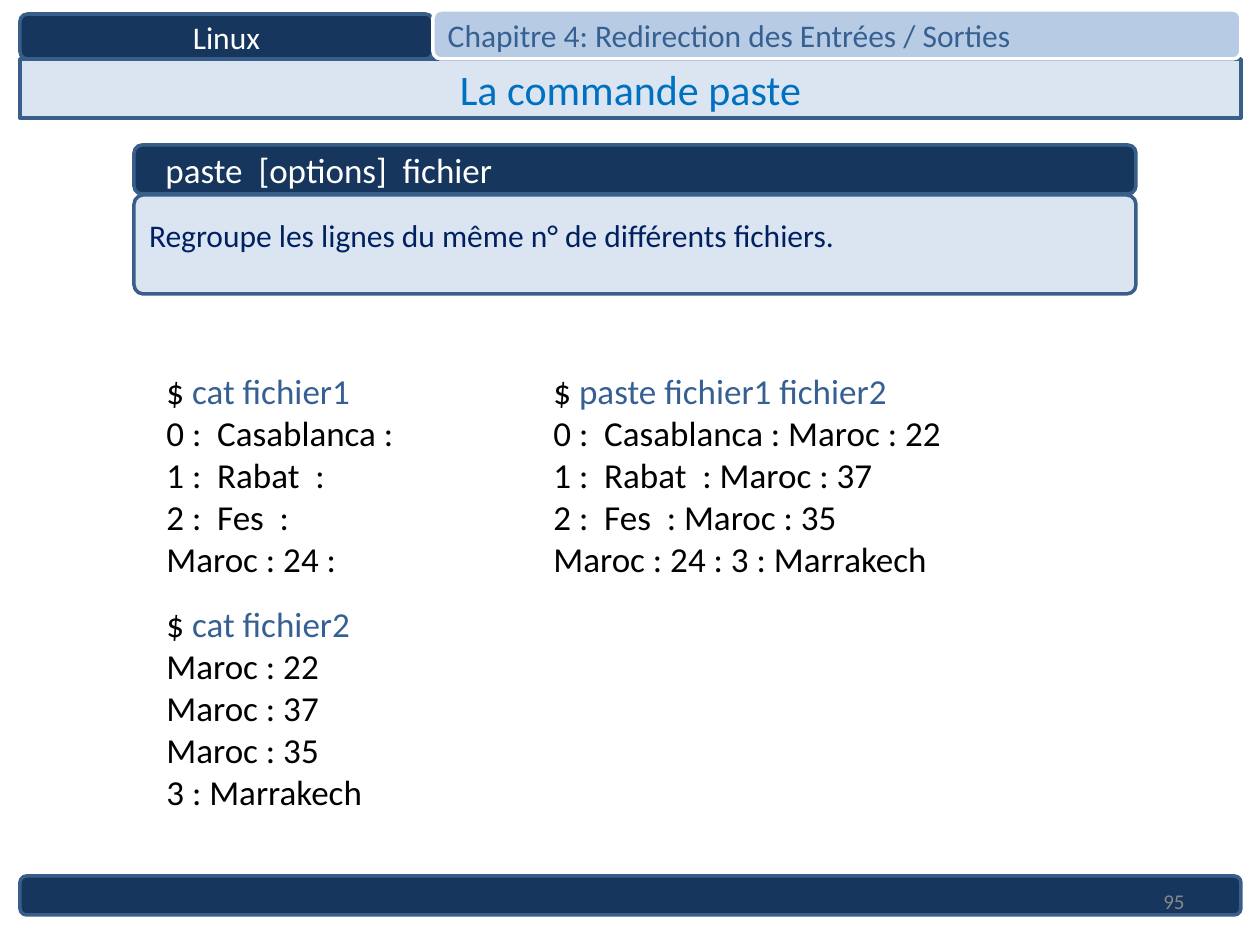
"""Build the slide on the paste command from the Linux course."""
from pptx import Presentation
from pptx.dml.color import RGBColor
from pptx.enum.shapes import MSO_SHAPE
from pptx.enum.text import MSO_ANCHOR, MSO_AUTO_SIZE, PP_ALIGN
from pptx.oxml import parse_xml
from pptx.oxml.ns import nsdecls
from pptx.util import Emu, Pt

COLORS = {
    "navy": "17365D", "edge": "395E89", "pale": "DAE5F1", "sky": "B7CCE4",
    "white": "FFFFFF", "blue": "366092", "title": "0070C0", "ink": "002060",
    "black": "000000", "grey": "888888",
}
SCALE = 914400 / 126


def px(length):
    return Emu(round(length * SCALE))


def add_span(para, text, size, color):
    span = para.add_run()
    span.text = text
    for name, value in {"name": "Calibri", "size": Pt(size), "bold": False}.items():
        setattr(span.font, name, value)
    span.font.color.rgb = RGBColor.from_string(COLORS[color])


deck = Presentation()
deck.slide_width, deck.slide_height = px(1260), px(945)
page = deck.slides.add_slide(deck.slide_layouts[5])

title = page.shapes.title
for name, value in {"left": 20, "top": 59, "width": 1221, "height": 59}.items():
    setattr(title, name, px(value))
title.element.spPr.append(parse_xml(
    f'<a:prstGeom {nsdecls("a")} prst="roundRect"><a:avLst/></a:prstGeom>'))
title.fill.solid()
title.fill.fore_color.rgb = RGBColor.from_string(COLORS["pale"])
title.line.color.rgb = RGBColor.from_string(COLORS["edge"])
title.line.width = Pt(2)
title.text_frame.auto_size = MSO_AUTO_SIZE.NONE
title.text_frame.vertical_anchor = MSO_ANCHOR.MIDDLE
title.text_frame.paragraphs[0].alignment = PP_ALIGN.CENTER
add_span(title.text_frame.paragraphs[0], "La commande paste", 24, "title")

LEFT, CENTER = PP_ALIGN.LEFT, PP_ALIGN.CENTER
bars = [
    ((20, 14, 413, 45), "navy", "edge", 0.167, "Linux", 18, "white", CENTER, {}),
    ((433, 10, 808, 49), "sky", "white", 0.167,
     "Chapitre 4: Redirection des Entrées / Sorties", 18, "blue", LEFT, {}),
    ((20, 876, 1221, 39), "navy", "edge", 0.167, "", 18, "white", CENTER, {}),
    ((134, 145, 1002, 49), "navy", "edge", 0.167,
     "paste  [options]  fichier", 20, "white", LEFT, {"margin_left": px(29)}),
    ((134, 195, 1002, 99), "pale", "edge", 0.094,
     "Regroupe les lignes du même n° de différents fichiers.", 18, "ink", LEFT,
     {"margin_bottom": px(25)}),
]
for place, fill, edge, corner, text, size, color, align, margins in bars:
    bar = page.shapes.add_shape(MSO_SHAPE.ROUNDED_RECTANGLE, *map(px, place))
    bar.shadow.inherit = False
    bar.adjustments[0] = corner
    bar.fill.solid()
    bar.fill.fore_color.rgb = RGBColor.from_string(COLORS[fill])
    bar.line.color.rgb = RGBColor.from_string(COLORS[edge])
    bar.line.width = Pt(2)
    if text:
        frame = bar.text_frame
        for name, value in {"word_wrap": True, **margins}.items():
            setattr(frame, name, value)
        frame.paragraphs[0].alignment = align
        add_span(frame.paragraphs[0], text, size, color)

sessions = [
    ((154, 363, 387, 459), [
        "$ cat fichier1", "0 :  Casablanca :", "1 :  Rabat  :", "2 :  Fes  :",
        "Maroc : 24 :", "$ cat fichier2", "Maroc : 22", "Maroc : 37",
        "Maroc : 35", "3 : Marrakech"]),
    ((541, 363, 576, 224), [
        "$ paste fichier1 fichier2", "0 :  Casablanca : Maroc : 22",
        "1 :  Rabat  : Maroc : 37", "2 :  Fes  : Maroc : 35",
        "Maroc : 24 : 3 : Marrakech"]),
]
for place, lines in sessions:
    frame = page.shapes.add_textbox(*map(px, place)).text_frame
    frame.word_wrap = True
    frame.auto_size = MSO_AUTO_SIZE.SHAPE_TO_FIT_TEXT
    for index, line in enumerate(lines):
        para = frame.add_paragraph() if index else frame.paragraphs[0]
        if line.startswith("$ "):
            if index:
                para.space_before = Pt(13)
            add_span(para, "$ ", 20, "black")
            add_span(para, line[2:], 20, "blue")
        else:
            add_span(para, line, 20, "black")

number = page.shapes.add_textbox(*map(px, (903, 876, 294, 50))).text_frame
number.word_wrap = True
number.vertical_anchor = MSO_ANCHOR.MIDDLE
number.paragraphs[0].alignment = PP_ALIGN.RIGHT
add_span(number.paragraphs[0], "95", 12, "grey")

deck.save("out.pptx")
